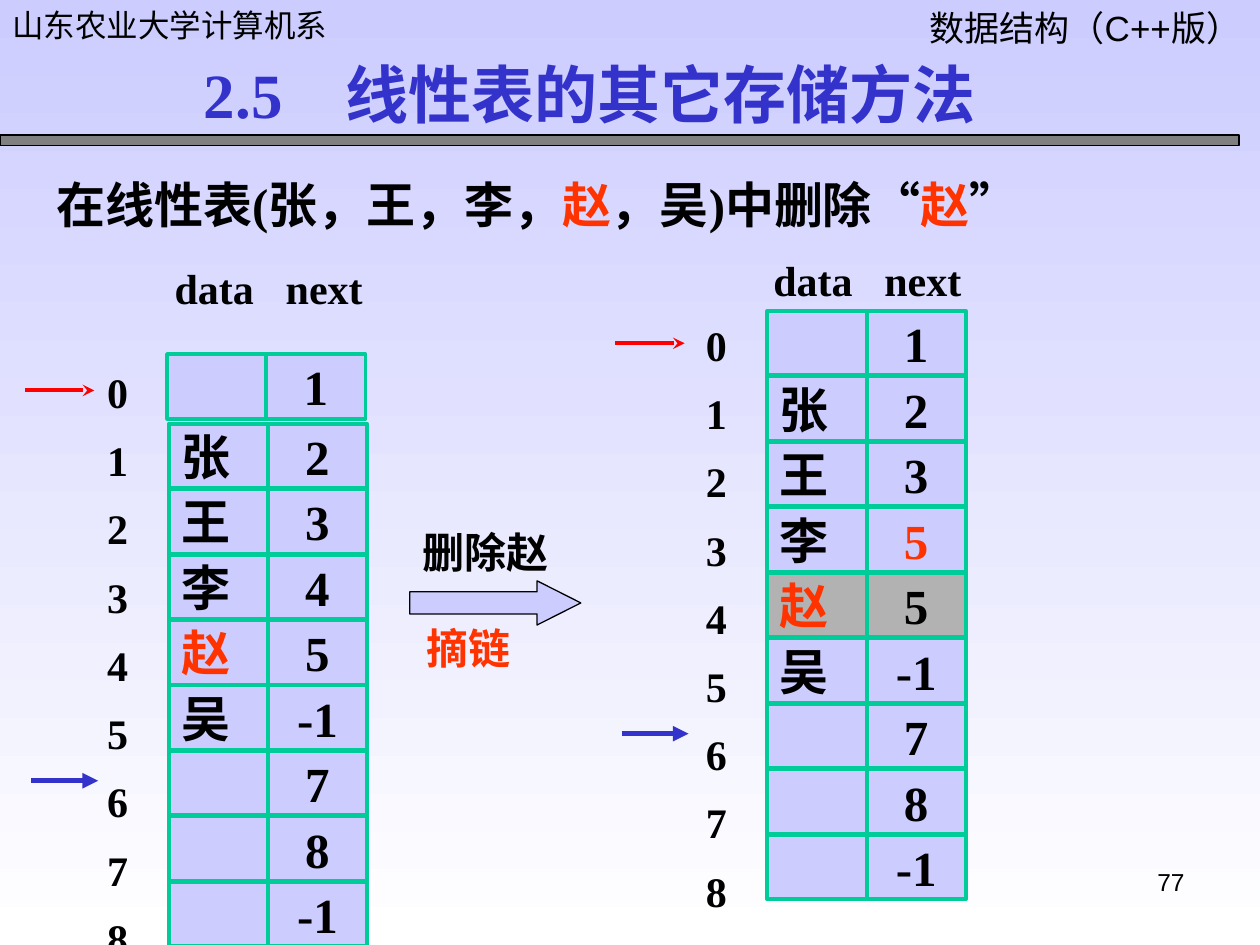
from lxml import etree
from pptx import Presentation
from pptx.dml.color import RGBColor
from pptx.enum.shapes import MSO_CONNECTOR, MSO_SHAPE
from pptx.enum.text import MSO_ANCHOR, PP_ALIGN
from pptx.oxml import parse_xml
from pptx.oxml.ns import nsdecls, qn
from pptx.util import Cm, Pt

RECT, RIGHT_ARROW = MSO_SHAPE.RECTANGLE, MSO_SHAPE.RIGHT_ARROW
STRAIGHT = MSO_CONNECTOR.STRAIGHT
LEFT, CENTER, RIGHT = PP_ALIGN.LEFT, PP_ALIGN.CENTER, PP_ALIGN.RIGHT
TOP, MIDDLE = MSO_ANCHOR.TOP, MSO_ANCHOR.MIDDLE

SERIF, SANS = "Times New Roman", "Arial"
COLORS = {
    "ink": "000000", "accent": "FF3300", "title": "3333CC", "shadow": "808080",
    "cell": "CCCCFF", "removed": "B2B2B2", "border": "00CC99", "rule": "808080",
    "head": "FF0000", "free": "3333CC", "sky": "CCCCFF", "ground": "FFFFFF",
}
CELL_W, CELL_H, ROW_PITCH = 2.0, 1.3, 1.32
INSETS = (0.25, 0.13, 0.25, 0.13)


def rgb(name):
    return RGBColor.from_string(COLORS[name])


def write(frame, paragraphs, size, font=SERIF, bold=True, align=LEFT,
          anchor=TOP, insets=INSETS, gap=0, tab=None):
    """Fill a frame with paragraphs, each a list of (text, colour name) runs."""
    frame.word_wrap = True
    frame.vertical_anchor = anchor
    (frame.margin_left, frame.margin_top,
     frame.margin_right, frame.margin_bottom) = map(Cm, insets)
    for i, runs in enumerate(paragraphs):
        paragraph = frame.add_paragraph() if i else frame.paragraphs[0]
        paragraph.alignment = align
        if tab:
            stops = etree.SubElement(paragraph._p.get_or_add_pPr(), qn("a:tabLst"))
            etree.SubElement(stops, qn("a:tab"), pos=str(Cm(tab)), algn="l")
        if i and gap:
            paragraph.space_before = Pt(gap)
        for text, color in runs:
            run = paragraph.add_run()
            run.text = text
            run.font.size, run.font.name, run.font.bold = Pt(size), font, bold
            run.font.color.rgb = rgb(color)


def add_text(slide, box, paragraphs, size, **style):
    frame = slide.shapes.add_textbox(*map(Cm, box)).text_frame
    write(frame, paragraphs, size, **style)
    return frame


def add_block(slide, kind, box, fill, line, width):
    block = slide.shapes.add_shape(kind, *map(Cm, box))
    block.shadow.inherit = False
    block.fill.solid()
    block.fill.fore_color.rgb = rgb(fill)
    block.line.color.rgb = rgb(line)
    block.line.width = Pt(width)
    return block


def add_pointer(slide, x, y, length, color, width, tip):
    pointer = slide.shapes.add_connector(STRAIGHT, Cm(x), Cm(y), Cm(x + length), Cm(y))
    pointer.line.color.rgb = rgb(color)
    pointer.line.width = Pt(width)
    properties = pointer._element.spPr
    etree.SubElement(properties.find(qn("a:ln")), qn("a:tailEnd"), type=tip)
    etree.SubElement(properties, qn("a:effectLst"))


def add_header(slide, box):
    left, top, width, height = box
    add_text(slide, (left + 18.39, top, 6.88, 1.96), [[("数据结构（C++版）", "ink")]],
             20, font=SANS, bold=False, align=RIGHT)
    add_text(slide, (left, top, 7.44, 1.02), [[("山东农业大学计算机系", "ink")]],
             18, font=SANS, bold=False)
    add_block(slide, RECT, (left, top + height - 0.21, width, 0.21), "rule", "ink", 0.75)
    title = add_text(slide, (left + 3.86, top + 1.17, 17.58, 1.63),
                     [[("2.5\t线性表的其它存储方法", "title")]], 36, anchor=MIDDLE, tab=2.86)
    title.paragraphs[0].line_spacing = 0.9
    fill = title.paragraphs[0].runs[0].font._element.find(qn("a:solidFill"))
    fill.addnext(parse_xml(
        f'<a:effectLst {nsdecls("a")}><a:outerShdw dist="35921" dir="2700000">'
        f'<a:srgbClr val="{COLORS["shadow"]}"/></a:outerShdw></a:effectLst>'))


def add_static_list(slide, box, rows, label_rise, pointer_dx, head_shift=(0, 0)):
    """Draw a static linked list; rows hold (data, next, data colour, next colour, fill)."""
    left, top, width, height = box
    add_text(slide, (left - 0.13, top - label_rise, width + 0.27, 1.27),
             [[("data\tnext", "ink")]], 24, insets=(0.25, 0.13, 0, 0.13), tab=2.24)
    for i, (data, link, data_color, link_color, fill) in enumerate(rows):
        dx, dy = (0, 0) if i else head_shift
        columns = ((data, data_color, LEFT), (link, link_color, CENTER))
        for column, (text, color, align) in enumerate(columns):
            cell = add_block(slide, RECT, (left + dx + column * CELL_W, top + dy + i * ROW_PITCH,
                                           CELL_W, CELL_H), fill, "border", 2.25)
            if text:
                write(cell.text_frame, [[(text, color)]], 28, align=align,
                      anchor=MIDDLE, insets=(0.25, 0, 0.25, 0))
    add_text(slide, (left - 1.24, top + 0.17, 0.89, height),
             [[(str(i), "ink")] for i in range(len(rows))], 24, insets=(0, 0, 0, 0), gap=10.2)
    add_pointer(slide, left + pointer_dx, top + 0.65, 1.4, "head", 2.25, "stealth")
    add_pointer(slide, left + pointer_dx + 0.13, top + 8.52, 1.35, "free", 3, "triangle")


def add_step(slide, box):
    left, top, width, height = box
    arrow = add_block(slide, RIGHT_ARROW, (left, top + 1.22, 3.45, 0.89), "cell", "ink", 0.75)
    arrow.adjustments[0], arrow.adjustments[1] = 0.5, 0.99
    add_text(slide, (left, top, width, 1.27), [[("删除赵", "ink")]], 24)
    add_text(slide, (left + 0.08, top + height - 1.27, width, 1.27), [[("摘链", "accent")]], 24)


def main():
    deck = Presentation()
    deck.slide_width, deck.slide_height = Cm(25.4), Cm(19.05)
    slide = deck.slides.add_slide(deck.slide_layouts[6])
    background = slide.background.fill
    background.gradient()
    background.gradient_angle = 270
    for stop, color in zip(background.gradient_stops, ("sky", "ground")):
        stop.color.rgb = rgb(color)

    add_header(slide, (0, 0, 24.98, 2.93))
    add_text(slide, (2.93 - 2.04, 3.38, 23.29, 1.45),
             [[("在线性表(张，王，李，", "ink"), ("赵", "accent"), ("，吴)中删除“", "ink"),
               ("赵", "accent"), ("”", "ink")]], 28)

    names = ["", "张", "王", "李", "赵", "吴", "", "", ""]
    links = ["1", "2", "3", "4", "5", "-1", "7", "8", "-1"]
    before = [(name, link, "accent" if name == "赵" else "ink", "ink", "cell")
              for name, link in zip(names, links)]
    after = list(before)
    after[3] = ("李", "5", "ink", "accent", "cell")
    after[4] = ("赵", "5", "accent", "ink", "removed")
    add_static_list(slide, (3.4, 7.22, 4, 11.68), before, 2.06, -2.9, (-0.03, -0.08))
    add_static_list(slide, (15.47, 6.27, 4, 11.68), after, 1.27, -3.07)
    add_step(slide, (8.26, 10.49, 3.81, 3.2))
    add_text(slide, (18.21, 17.35, 5.92, 1.32), [[("77", "ink")]],
             14, font=SANS, bold=False, align=RIGHT)
    deck.save("out.pptx")


if __name__ == "__main__":
    main()
